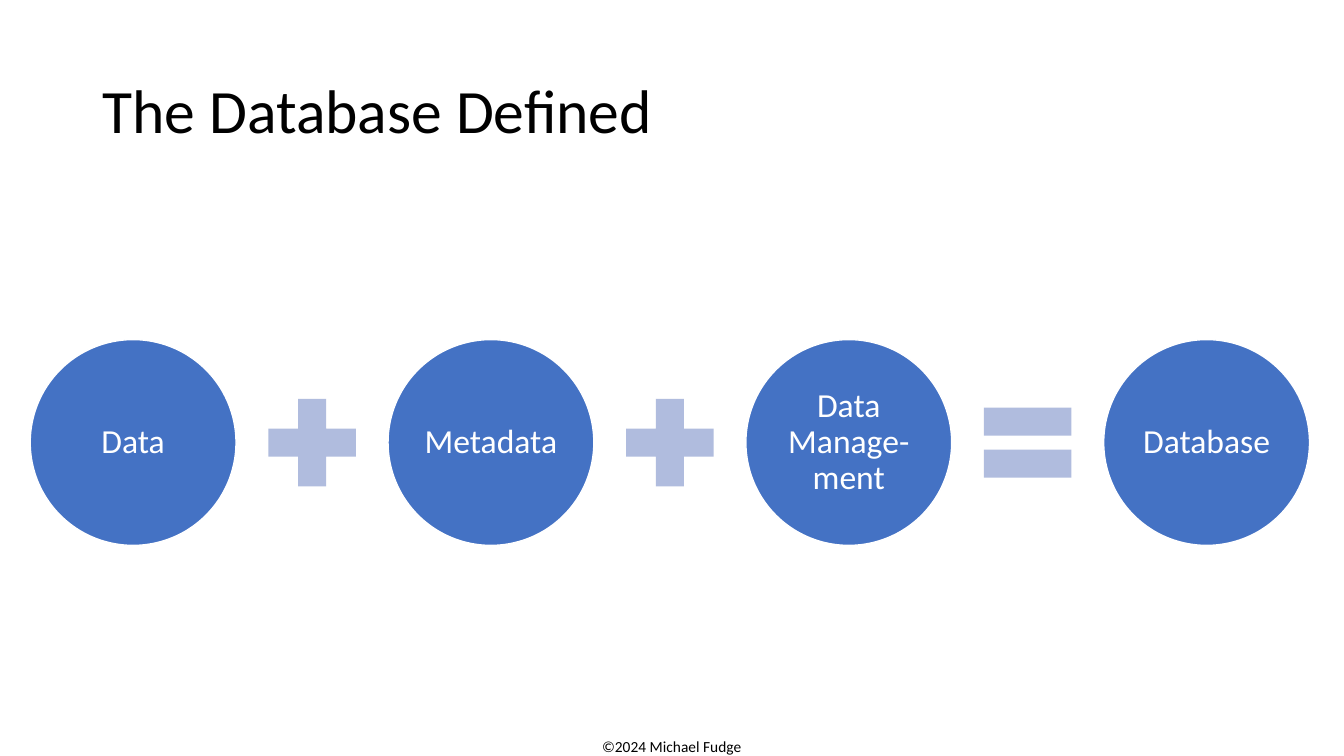
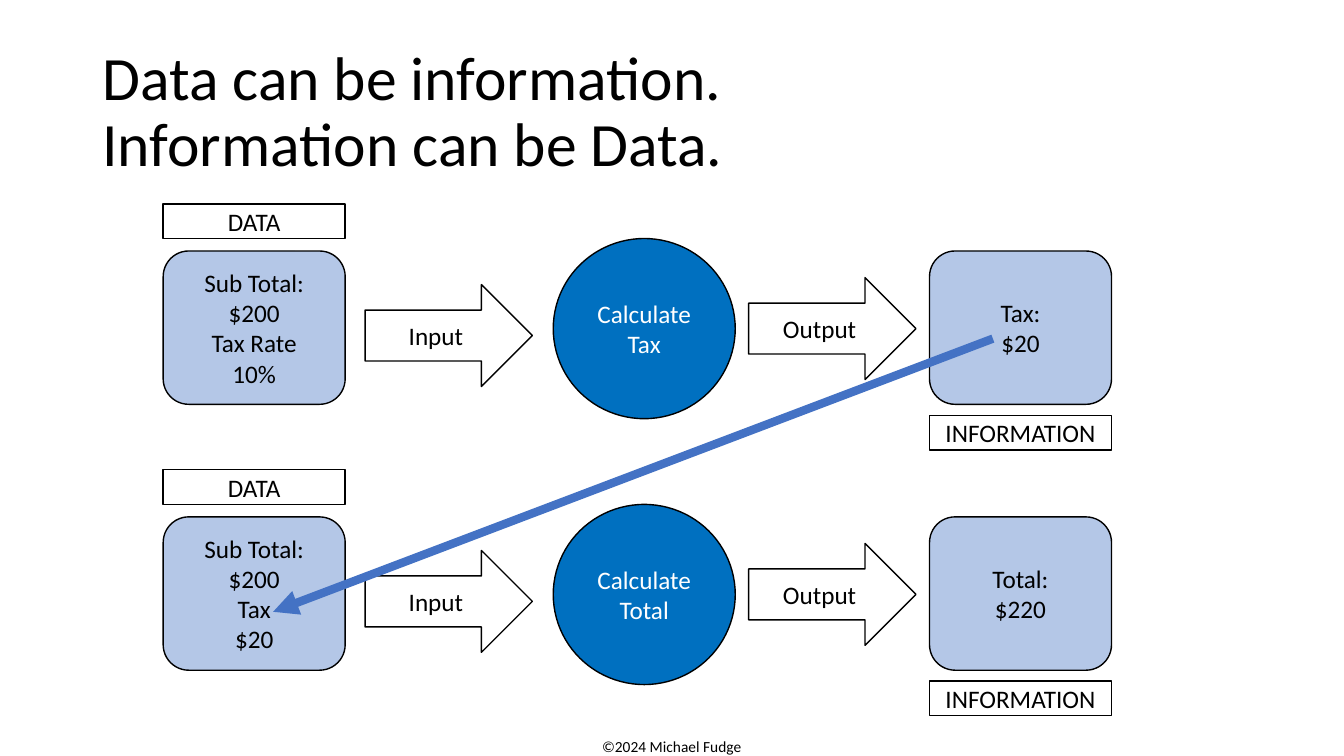
from dataclasses import dataclass

from lxml.etree import SubElement
from pptx import Presentation
from pptx.dml.color import RGBColor
from pptx.enum.shapes import MSO_CONNECTOR, MSO_SHAPE as Form
from pptx.enum.text import MSO_ANCHOR as Anchor, MSO_AUTO_SIZE as AutoSize, PP_ALIGN as Align
from pptx.oxml.ns import qn
from pptx.util import Pt


@dataclass(frozen=True)
class Theme:
    font: str = "Calibri"
    black: str = "000000"
    white: str = "FFFFFF"
    blue: str = "4472C4"
    operator: str = "B0BCDE"
    store: str = "B4C7E7"
    process: str = "0070C0"
    title_size: float = 44
    term_size: float = 24
    flow_size: float = 18
    footer_size: float = 11


THEME = Theme()
FOOTER = "©2024 Michael Fudge"

EQUATION_TITLE = "The Database Defined"
TERMS = ["Data", "Metadata", "Data Manage-ment", "Database"]
OPERATORS = [Form.MATH_PLUS, Form.MATH_PLUS, Form.MATH_EQUAL]

FLOW_TITLE = "Data can be information.\vInformation can be Data."
FLOWS = [
    ("Sub Total:\v$200\nTax Rate\v10%", "Calculate Tax", "Tax:\v$20"),
    ("Sub Total:\v$200\nTax\v$20", "Calculate Total", "Total:\v$220"),
]

TERM_LEFT, TERM_PITCH, TERM_SIZE, OPERATOR_SIZE = 21.6, 255.6, 147, 85
EQUATION_MIDDLE = 316.1
FLOW_TOP, FLOW_PITCH = 145.6, 191.5 - 1.6
COLUMN_WIDTH = 130
DATA_LEFT, PROCESS_LEFT, INFORMATION_LEFT = 116.6, 395.2, 664


def color(value):
    return RGBColor.from_string(value)


def write(shape, text, size, text_color, align=Align.CENTER, spacing=1.0):
    frame = shape.text_frame
    frame.word_wrap = True
    frame.vertical_anchor = Anchor.MIDDLE
    frame.text = text
    for para in frame.paragraphs:
        para.alignment = align
        para.line_spacing = spacing
        for span in para.runs:
            span.font.name = THEME.font
            span.font.size = Pt(size)
            span.font.color.rgb = color(text_color)
    return frame


def add_form(page, form, left, top, width, height, fill, line=None):
    shape = page.shapes.add_shape(form, Pt(left), Pt(top), Pt(width), Pt(height))
    shape.shadow.inherit = False
    shape.fill.solid()
    shape.fill.fore_color.rgb = color(fill)
    if line:
        shape.line.color.rgb = color(line)
        shape.line.width = Pt(1)
    else:
        shape.line.fill.background()
    return shape


def add_page(deck, title_text):
    page = deck.slides.add_slide(deck.slide_layouts[5])
    title = page.shapes.title
    title.left, title.top, title.width, title.height = Pt(66), Pt(28.8), Pt(828), Pt(104.4)
    frame = write(title, title_text, THEME.title_size, THEME.black, Align.LEFT, 0.9)
    frame.auto_size = AutoSize.NONE
    footer = page.shapes.add_textbox(Pt(408.2), Pt(522.7), Pt(143.3), Pt(20.6))
    write(footer, FOOTER, THEME.footer_size, THEME.black)
    return page


def add_arrow(page, start, end):
    arrow = page.shapes.add_connector(MSO_CONNECTOR.STRAIGHT, *map(Pt, start + end))
    arrow.line.color.rgb = color(THEME.blue)
    arrow.line.width = Pt(6)
    SubElement(arrow.line._get_or_add_ln(), qn("a:tailEnd"), type="triangle")
    SubElement(arrow._element.spPr, qn("a:effectLst"))


def build_equation(deck):
    page = add_page(deck, EQUATION_TITLE)
    for index, term in enumerate(TERMS):
        circle = add_form(page, Form.OVAL, TERM_LEFT + index * TERM_PITCH,
                          EQUATION_MIDDLE - TERM_SIZE / 2, TERM_SIZE, TERM_SIZE,
                          THEME.blue, THEME.white)
        frame = write(circle, term, THEME.term_size, THEME.white, spacing=0.9)
        frame.margin_left = frame.margin_right = frame.margin_top = frame.margin_bottom = Pt(2)
    gap = TERM_PITCH - TERM_SIZE
    for index, form in enumerate(OPERATORS):
        left = TERM_LEFT + index * TERM_PITCH + TERM_SIZE + (gap - OPERATOR_SIZE) / 2
        add_form(page, form, left, EQUATION_MIDDLE - OPERATOR_SIZE / 2,
                 OPERATOR_SIZE, OPERATOR_SIZE, THEME.operator)


def build_flows(deck):
    page = add_page(deck, FLOW_TITLE)
    for row, (data, process, information) in enumerate(FLOWS):
        top = FLOW_TOP + row * FLOW_PITCH
        parts = [
            (Form.ROUNDED_RECTANGLE, data, DATA_LEFT, 33.7, COLUMN_WIDTH, 109.5, THEME.store),
            (Form.ROUNDED_RECTANGLE, information, INFORMATION_LEFT, 33.7, COLUMN_WIDTH, 109.5, THEME.store),
            (Form.FLOWCHART_CONNECTOR, process, PROCESS_LEFT, 24.8, COLUMN_WIDTH, 128.7, THEME.process),
            (Form.RIGHT_ARROW, "Input", 260.8, 57.7, 119.5, 72.8, THEME.white),
            (Form.RIGHT_ARROW, "Output", 534.8, 52.7, 119.5, 72.8, THEME.white),
            (Form.RECTANGLE, "DATA", DATA_LEFT, 0, COLUMN_WIDTH, 24.8, THEME.white),
            (Form.RECTANGLE, "INFORMATION", INFORMATION_LEFT, 151, COLUMN_WIDTH, 24.8, THEME.white),
        ]
        for form, text, left, offset, width, height, fill in parts:
            shape = add_form(page, form, left, top + offset, width, height, fill, THEME.black)
            text_color = THEME.white if fill == THEME.process else THEME.black
            write(shape, text, THEME.flow_size, text_color)
    add_arrow(page, (709.2, 241.9), (195.1, 437))


def main():
    deck = Presentation()
    deck.slide_width, deck.slide_height = Pt(960), Pt(540)
    build_equation(deck)
    build_flows(deck)
    deck.save("out.pptx")


if __name__ == "__main__":
    main()
